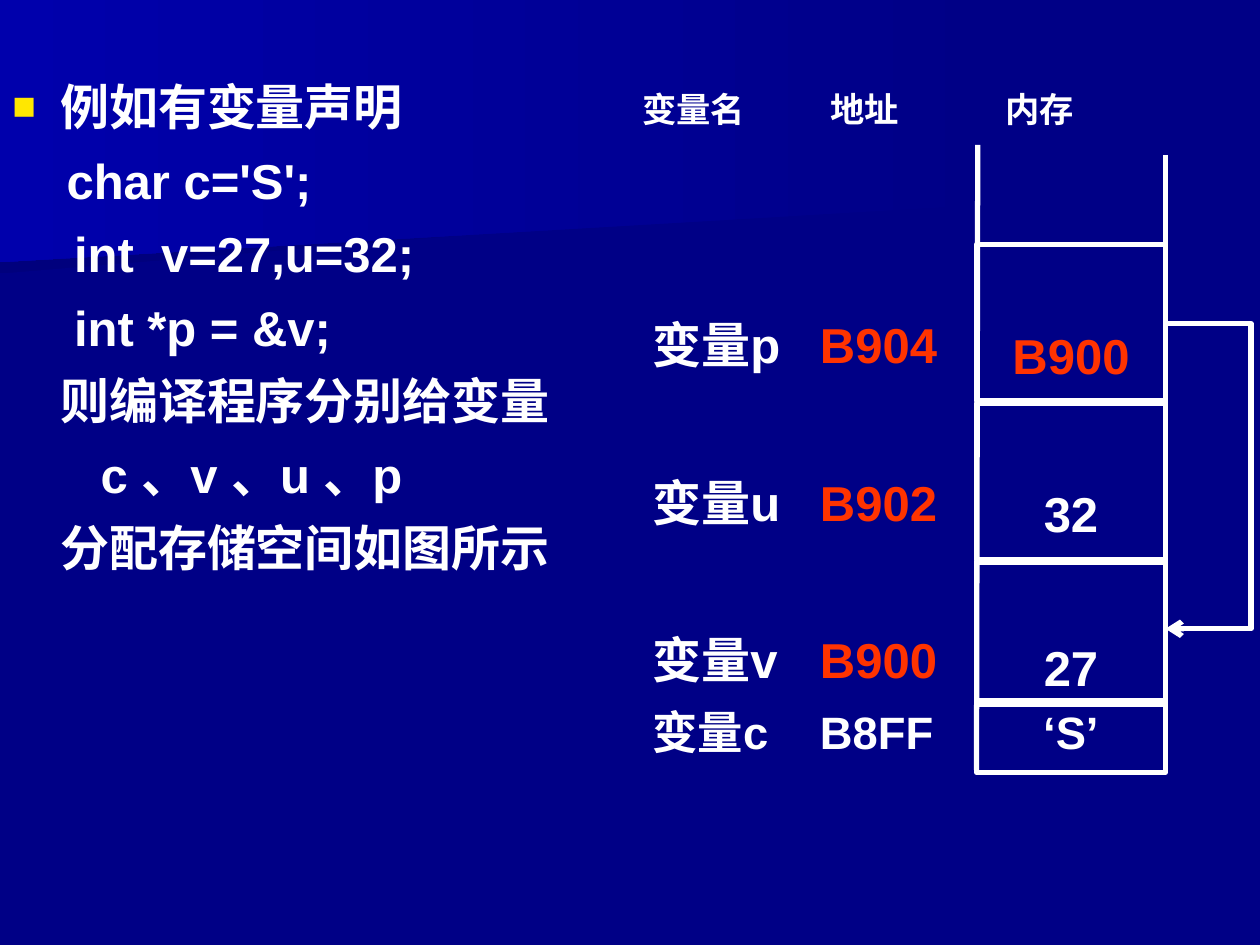
from dataclasses import dataclass

from lxml import etree
from pptx import Presentation
from pptx.dml.color import RGBColor
from pptx.enum.shapes import MSO_CONNECTOR, MSO_SHAPE
from pptx.enum.text import MSO_ANCHOR, PP_ALIGN
from pptx.oxml.ns import qn
from pptx.util import Inches, Pt

STRAIGHT = MSO_CONNECTOR.STRAIGHT
RECTANGLE = MSO_SHAPE.RECTANGLE
TOP = MSO_ANCHOR.TOP
LEFT, CENTER = PP_ALIGN.LEFT, PP_ALIGN.CENTER

FONT = "Arial"
WHITE, RED, YELLOW, NAVY = "FFFFFF", "FF3300", "FFE701", "000086"
NAME_LEFT, ADDRESS_LEFT, MEMORY_LEFT, MEMORY_RIGHT = 5.08, 6.41, 7.75, 9.25
MEMORY_BOTTOM = 6.13


@dataclass
class MemoryRow:
    name: str
    address: str
    value: str
    top: float
    height: float
    inset: float
    divider: float
    address_color: str = RED
    value_color: str = WHITE
    size: float = 28


@dataclass
class Line:
    text: str
    margin: float
    bullet: bool = False


ROWS = [
    MemoryRow("变量p", "B904", "B900", 1.94, 1.24, 0.64, 2.25, value_color=RED),
    MemoryRow("变量u", "B902", "32", 3.2, 1.24, 0.64, 1),
    MemoryRow("变量v", "B900", "27", 4.46, 1.13, 0.6, 1),
    MemoryRow("变量c", "B8FF", "‘S’", 5.56, 0.57, 0.03, 3,
              address_color=WHITE, size=25.9),
]
HEADINGS = [("变量名", 5.0), ("地址", 6.49), ("内存", 7.88)]
LINES = [
    Line("例如有变量声明", 0.38, bullet=True),
    Line("char c='S';", 0.43),
    Line("int  v=27,u=32;", 0.49),
    Line("int *p = &v;", 0.49),
    Line("则编译程序分别给变量", 0.38),
    Line("c 、v 、u 、p", 0.7),
    Line("分配存储空间如图所示", 0.38),
]


def color(value: str) -> RGBColor:
    return RGBColor.from_string(value)


def add_run(paragraph, text: str, *, size: float = 28, fill: str = WHITE) -> None:
    run = paragraph.add_run()
    run.text = text
    run.font.size = Pt(size)
    run.font.bold = True
    run.font.name = FONT
    run.font.color.rgb = color(fill)
    east_asian = etree.SubElement(run.font._element, qn("a:ea"))
    east_asian.set("typeface", FONT)


def prepare_frame(shape, inset: float):
    frame = shape.text_frame
    frame.word_wrap = True
    frame.vertical_anchor = TOP
    frame.margin_left = frame.margin_right = Inches(0.1)
    frame.margin_top, frame.margin_bottom = Inches(inset), 0
    return frame


def write(shape, text: str, *, inset: float, size: float = 28,
          fill: str = WHITE, align=LEFT) -> None:
    paragraph = prepare_frame(shape, inset).paragraphs[0]
    paragraph.alignment = align
    add_run(paragraph, text, size=size, fill=fill)


def add_box(slide, left: float, top: float, width: float, height: float):
    return slide.shapes.add_textbox(
        Inches(left), Inches(top), Inches(width), Inches(height))


def add_line(slide, start: tuple[float, float], end: tuple[float, float],
             width: float = 3) -> None:
    points = [Inches(value) for value in (*start, *end)]
    connector = slide.shapes.add_connector(STRAIGHT, *points)
    connector.line.color.rgb = color(WHITE)
    connector.line.width = Pt(width)
    etree.SubElement(connector._element.spPr, qn("a:effectLst"))


def add_outline(slide, points: list[tuple[float, float]], close: bool):
    corners = [(Inches(x), Inches(y)) for x, y in points]
    builder = slide.shapes.build_freeform(*corners[0])
    builder.add_line_segments(corners[1:], close=close)
    shape = builder.convert_to_shape()
    shape.shadow.inherit = False
    return shape


def add_band(slide, points: list[tuple[float, float]], left_color: str) -> None:
    shape = add_outline(slide, points, True)
    shape.line.fill.background()
    shape.fill.gradient()
    shape.fill.gradient_angle = 180
    for stop, value in zip(shape.fill.gradient_stops, (NAVY, left_color)):
        stop.color.rgb = color(value)


def add_bullet(paragraph) -> None:
    properties = paragraph._p.get_or_add_pPr()
    bullet_color = etree.SubElement(properties, qn("a:buClr"))
    etree.SubElement(bullet_color, qn("a:srgbClr")).set("val", YELLOW)
    etree.SubElement(properties, qn("a:buSzPct")).set("val", "80000")
    etree.SubElement(properties, qn("a:buFont")).set("typeface", FONT)
    etree.SubElement(properties, qn("a:buChar")).set("char", "■")


def add_explanation(slide) -> None:
    frame = prepare_frame(add_box(slide, 0, 0.52, 4.89, 6.26), 0.09)
    for index, line in enumerate(LINES):
        paragraph = frame.add_paragraph() if index else frame.paragraphs[0]
        if index:
            paragraph.space_before = Pt(8.4)
        properties = paragraph._p.get_or_add_pPr()
        properties.set("marL", str(Inches(line.margin)))
        if line.bullet:
            properties.set("indent", str(-Inches(line.margin)))
            add_bullet(paragraph)
        add_run(paragraph, line.text)


def add_memory_row(slide, row: MemoryRow) -> None:
    labels = [(row.name, NAME_LEFT, 1.33, WHITE),
              (row.address, ADDRESS_LEFT, 1.34, row.address_color)]
    for text, left, width, fill in labels:
        box = add_box(slide, left, row.top, width, row.height)
        write(box, text, inset=row.inset, size=row.size, fill=fill)
    cell = slide.shapes.add_shape(
        RECTANGLE, Inches(MEMORY_LEFT), Inches(row.top),
        Inches(MEMORY_RIGHT - MEMORY_LEFT), Inches(row.height))
    cell.shadow.inherit = False
    cell.fill.background()
    cell.line.color.rgb = color(WHITE)
    cell.line.width = Pt(3)
    write(cell, row.value, inset=row.inset, size=row.size,
          fill=row.value_color, align=CENTER)
    add_line(slide, (MEMORY_LEFT, row.top), (MEMORY_RIGHT, row.top), row.divider)


def add_pointer_arrow(slide) -> None:
    arrow = add_outline(
        slide, [(MEMORY_RIGHT, 2.57), (9.93, 2.57), (9.93, 4.99),
                (MEMORY_RIGHT, 4.99)], False)
    arrow.fill.background()
    arrow.line.color.rgb = color(WHITE)
    arrow.line.width = Pt(3)
    etree.SubElement(arrow.line._get_or_add_ln(), qn("a:tailEnd")).set("type", "arrow")


def main() -> None:
    presentation = Presentation()
    presentation.slide_width, presentation.slide_height = Inches(10), Inches(7.5)
    slide = presentation.slides.add_slide(presentation.slide_layouts[6])

    # Background
    slide.background.fill.solid()
    slide.background.fill.fore_color.rgb = color(NAVY)
    add_band(slide, [(7.78, 1.53), (0, 2.17), (0, 1.01), (7.79, 1.01)], "00007D")
    add_band(slide, [(7.92, 1.62), (0, 2.08), (0, 0), (7.92, 0)], "0000AC")

    # Declarations
    add_explanation(slide)

    # Memory diagram
    add_line(slide, (MEMORY_RIGHT, 1.23), (MEMORY_RIGHT, 6.11))
    add_line(slide, (7.76, 1.15), (MEMORY_LEFT, 6.11))
    for row in ROWS:
        add_memory_row(slide, row)
    add_line(slide, (MEMORY_LEFT, MEMORY_BOTTOM), (MEMORY_RIGHT, MEMORY_BOTTOM), 2.25)
    for text, left in HEADINGS:
        write(add_box(slide, left, 0.68, 1.34, 0.44), text, inset=0.02, size=19.6)

    # Pointer from p to v
    add_pointer_arrow(slide)
    presentation.save("out.pptx")


if __name__ == "__main__":
    main()
